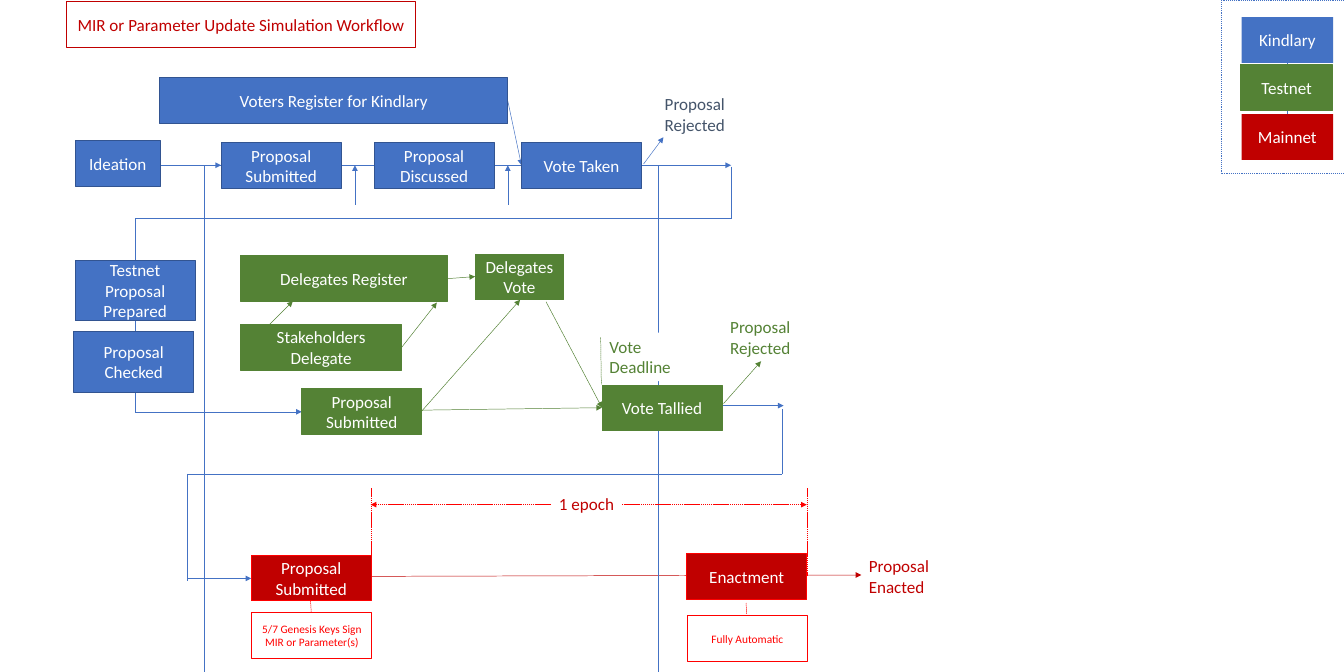
"""Build the MIR or Parameter Update Simulation Workflow slide."""
from lxml import etree
from pptx import Presentation
from pptx import util as u
from pptx.dml import color
from pptx.enum import dml, shapes, text
from pptx.oxml import ns

BLUE, NAVY, GREEN = "4472C4", "325491", "548235"
CRIMSON, RED, SLATE, WHITE = "C00000", "FF0000", "44546A", "FFFFFF"
STEP_W, STEP_H = 1.76, 0.67


def paint(fill, hex_colour):
    """Give a fill one solid colour."""
    fill.solid()
    fill.fore_color.rgb = color.RGBColor.from_string(hex_colour)


def write(frame, wording, size, hex_colour, align):
    """Write the wording into one paragraph, line by line."""
    paragraph = frame.paragraphs[0]
    paragraph.alignment = align
    for number, line in enumerate(wording.split("\n")):
        if number:
            paragraph.add_line_break()
        run = paragraph.add_run()
        run.text = line
        run.font.size = u.Pt(size)
        run.font.name = "Calibri"
        paint(run.font.fill, hex_colour)


deck = Presentation()
deck.slide_width, deck.slide_height = u.Inches(19.69), u.Inches(9.84)
slide = deck.slides.add_slide(deck.slide_layouts[5])

title = slide.shapes.title
title.left, title.top = u.Inches(0.98), u.Inches(0.02)
title.width, title.height = u.Inches(5.1), u.Inches(STEP_H)
paint(title.fill, WHITE)
paint(title.line.fill, CRIMSON)
title.line.width = u.Pt(1)
title.text_frame.vertical_anchor = text.MSO_ANCHOR.MIDDLE
write(title.text_frame, "MIR or Parameter Update Simulation Workflow", 18, CRIMSON,
      text.PP_ALIGN.CENTER)

# Each route: colour, dashed, arrowheads, points
routes = [
    (CRIMSON, False, ["tail"], [(5.37, 8.44), (12.62, 8.42)]),
    (GREEN, False, ["tail"], [(4.42, 6.03), (8.82, 5.97)]),
    (BLUE, False, ["tail"], [(1.17, 2.42), (10.71, 2.42)]),
    (BLUE, False, ["tail"], [(7.44, 1.48), (7.64, 2.42)]),
    (BLUE, False, [], [(9.64, 2.42), (9.64, 9.84)]),
    (BLUE, False, ["tail"], [(2.99, 9.84), (2.99, 2.42), (3.24, 2.42)]),
    (BLUE, False, ["tail"], [(5.2, 3), (5.2, 2.42)]),
    (BLUE, False, ["tail"], [(7.44, 3), (7.44, 2.42)]),
    (GREEN, False, ["tail"], [(8, 4.42), (8.82, 5.97)]),
    (BLUE, False, ["tail"],
     [(10.71, 2.44), (10.71, 3.2), (1.98, 3.2), (1.98, 6.03), (4.42, 6.03)]),
    (GREEN, False, ["tail"], [(3.95, 4.75), (4.29, 4.41)]),
    (GREEN, False, ["tail"], [(5.89, 5.08), (6.4, 4.43)]),
    (BLUE, False, [], [(11.46, 5.99), (11.46, 6.94), (2.74, 6.94), (2.74, 8.51)]),
    (BLUE, False, ["tail"], [(2.74, 8.47), (3.68, 8.47)]),
    (BLUE, False, ["tail"], [(10.57, 5.94), (11.48, 5.94)]),
    (BLUE, False, ["tail"], [(9.43, 2.4), (9.72, 2.01)]),
    (GREEN, False, ["tail"], [(10.6, 5.91), (11.15, 5.29)]),
    (GREEN, False, ["tail"], [(6.56, 4.08), (6.96, 4.05)]),
    (GREEN, False, ["tail"], [(6.17, 6.03), (7.62, 4.39)]),
    (GREEN, True, [], [(8.8, 4.94), (8.81, 5.63)]),
    (RED, True, [], [(5.44, 7.15), (5.44, 8.47)]),
    (RED, True, [], [(11.82, 7.15), (11.82, 8.44)]),
    (RED, True, ["head", "tail"], [(5.43, 7.39), (11.82, 7.39)]),
    (RED, True, [], [(4.55, 8.8), (4.56, 8.97)]),
    (RED, True, [], [(10.93, 8.83), (10.94, 8.99)]),
    (BLUE, False, [], [(18.86, 0.92), (18.86, 2.19)]),
]
for stroke, dashed, arrows, points in routes:
    for start, end in zip(points, points[1:]):
        leg = slide.shapes.add_connector(
            shapes.MSO_CONNECTOR.STRAIGHT, *map(u.Inches, start + end))
        paint(leg.line.fill, stroke)
        leg.line.width = u.Pt(0.5)
        if dashed:
            leg.line.dash_style = dml.MSO_LINE.SQUARE_DOT
        properties = leg._element.spPr
        if end == points[-1]:
            for arrow in arrows:
                etree.SubElement(properties.find(ns.qn("a:ln")),
                                 ns.qn(f"a:{arrow}End"), type="triangle")
        etree.SubElement(properties, ns.qn("a:effectLst"))

# Each style: fill, outline, text colour, text size, boxes
box_styles = [
    (BLUE, NAVY, WHITE, 18, [
        ("Voters Register for Kindlary", 2.34, 1.14, 5.1, STEP_H),
        ("Ideation", 1.1, 2.06, 1.25, STEP_H),
        ("Proposal Submitted", 3.24, 2.09, STEP_W, STEP_H),
        ("Proposal Discussed", 5.48, 2.09, STEP_W, STEP_H),
        ("Vote Taken", 7.64, 2.09, STEP_W, STEP_H),
        ("Testnet\nProposal\nPrepared", 1.1, 3.81, STEP_W, 0.89),
        ("Proposal\nChecked", 1.08, 4.85, STEP_W, 0.89)]),
    (GREEN, GREEN, WHITE, 18, [
        ("Delegates Register", 3.52, 3.74, 3.04, STEP_H),
        ("Delegates Vote", 6.96, 3.72, 1.3, STEP_H),
        ("Stakeholders Delegate", 3.53, 4.75, 2.35, STEP_H),
        ("Proposal Submitted", 4.42, 5.69, STEP_W, STEP_H),
        ("Vote Tallied", 8.82, 5.64, STEP_W, STEP_H),
        ("Testnet", 18.18, 0.95, 1.34, STEP_H)]),
    (CRIMSON, RED, WHITE, 18, [
        ("Proposal Submitted", 3.68, 8.13, STEP_W, STEP_H),
        ("Enactment", 10.06, 8.11, STEP_W, STEP_H)]),
    (WHITE, RED, RED, 12, [
        ("5/7 Genesis Keys Sign\nMIR or Parameter(s)", 3.69, 8.97, STEP_W, STEP_H),
        ("Fully Automatic", 10.07, 9.02, STEP_W, STEP_H)]),
    (BLUE, None, WHITE, 18, [("Kindlary", 18.19, 0.25, 1.34, STEP_H)]),
    (CRIMSON, None, WHITE, 18, [("Mainnet", 18.19, 1.67, 1.34, STEP_H)]),
]
for fill, outline, ink, size, boxes in box_styles:
    for wording, *place in boxes:
        box = slide.shapes.add_shape(shapes.MSO_SHAPE.RECTANGLE, *map(u.Inches, place))
        box.shadow.inherit = False
        paint(box.fill, fill)
        if outline:
            paint(box.line.fill, outline)
            box.line.width = u.Pt(1)
        else:
            box.line.fill.background()
        box.text_frame.vertical_anchor = text.MSO_ANCHOR.MIDDLE
        write(box.text_frame, wording, size, ink, text.PP_ALIGN.CENTER)

legend = slide.shapes.add_shape(
    shapes.MSO_SHAPE.RECTANGLE, *map(u.Inches, (17.9, 0, 1.79, 2.54)))
legend.shadow.inherit = False
legend.fill.background()
paint(legend.line.fill, BLUE)
legend.line.width = u.Pt(1)
legend.line.dash_style = dml.MSO_LINE.ROUND_DOT

# Each note: wording, colour, masks the lines behind, place
notes = [
    ("Proposal\nRejected", SLATE, False, (9.64, 1.32, 1.09, 0.71)),
    ("Proposal\nRejected", GREEN, False, (10.6, 4.59, 1.09, 0.71)),
    ("Proposal\nEnacted", CRIMSON, False, (12.63, 8.09, 1.09, 0.71)),
    ("1 epoch", CRIMSON, True, (8.09, 7.17, 1.02, 0.4)),
    ("Vote\nDeadline", GREEN, True, (8.83, 4.87, 1.37, 0.71)),
]
for wording, ink, masks, place in notes:
    note = slide.shapes.add_textbox(*map(u.Inches, place))
    note.text_frame.word_wrap = masks
    note.text_frame.auto_size = text.MSO_AUTO_SIZE.SHAPE_TO_FIT_TEXT
    if masks:
        paint(note.fill, WHITE)
    write(note.text_frame, wording, 18, ink, text.PP_ALIGN.LEFT)

deck.save("out.pptx")
